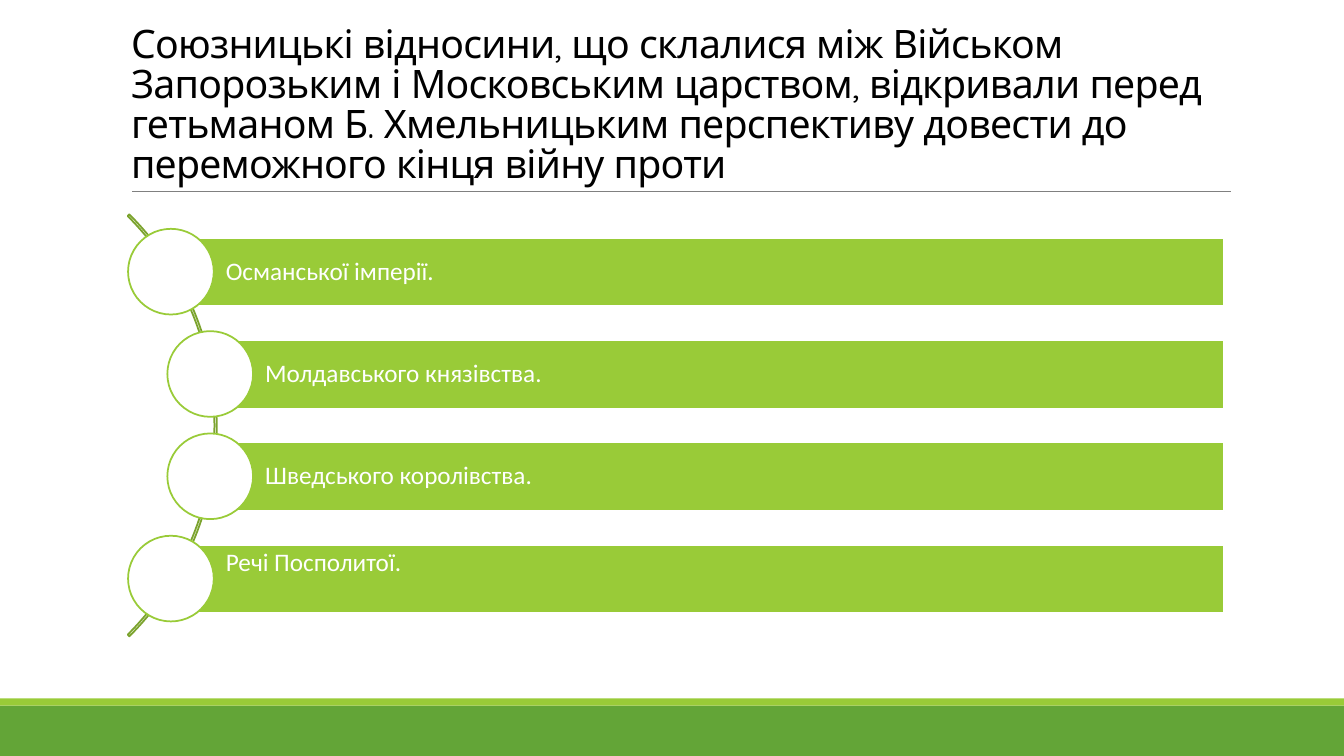
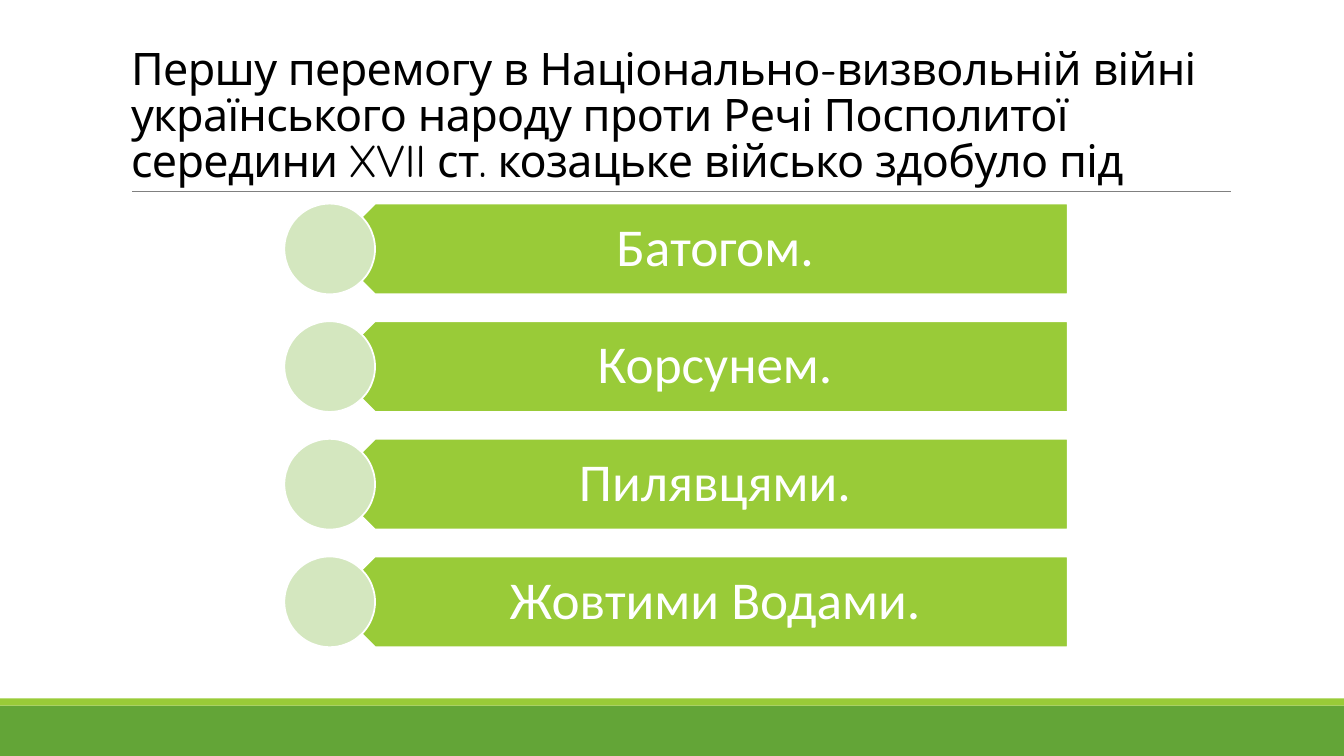
from lxml.etree import SubElement
from pptx import Presentation
from pptx.dml.color import RGBColor
from pptx.enum.shapes import MSO_CONNECTOR, MSO_SHAPE
from pptx.enum.text import MSO_ANCHOR, MSO_AUTO_SIZE, PP_ALIGN
from pptx.oxml.ns import qn
from pptx.util import Inches, Pt

WHITE = "FFFFFF"
LIME = "99CB38"
GREEN = "63A537"
PALE_GREEN = "D4E7BF"
ARC_GREEN = "7BA32D"
GREY = "808080"
BLACK = "000000"


def add_figure(slide, preset, box, fill=None, line=None):
    figure = slide.shapes.add_shape(preset, *[Inches(length) for length in box])
    figure.shadow.inherit = False
    if fill:
        figure.fill.solid()
        figure.fill.fore_color.rgb = RGBColor.from_string(fill)
    else:
        figure.fill.background()
    if line:
        figure.line.color.rgb = RGBColor.from_string(line)
        figure.line.width = Pt(1.25)
    else:
        figure.line.fill.background()
    return figure


def write(shape, text, font_name, size, color, spacing, align, anchor):
    frame = shape.text_frame
    frame.text = text
    frame.word_wrap = True
    frame.auto_size = MSO_AUTO_SIZE.NONE
    frame.vertical_anchor = anchor
    paragraph = frame.paragraphs[0]
    paragraph.alignment = align
    paragraph.line_spacing = spacing
    font = paragraph.runs[0].font
    font.name = font_name
    font.size = Pt(size)
    font.color.rgb = RGBColor.from_string(color)
    return frame


deck = Presentation()
deck.slide_width = Inches(13.33)
deck.slide_height = Inches(7.5)

layout = deck.slide_layouts.get_by_name("Title Only")
layout_title = layout.placeholders[0]
layout_title.left, layout_title.top = Inches(1.2), Inches(0.31)
layout_title.width, layout_title.height = Inches(11), Inches(1.59)

headings = [
    ("Союзницькі відносини, що склалися між Військом Запорозьким і Московським "
     "царством, відкривали перед гетьманом Б. Хмельницьким перспективу довести "
     "до переможного кінця війну проти", 28),
    ("Першу перемогу в Національно-визвольній війні українського народу проти "
     "Речі Посполитої середини XVII ст. козацьке військо здобуло під", 32),
]
slides = []
for heading, size in headings:
    slide = deck.slides.add_slide(layout)
    frame = write(slide.shapes.title, heading, "Quicksand", size, BLACK, 0.85,
                  PP_ALIGN.LEFT, MSO_ANCHOR.BOTTOM)
    frame.paragraphs[0].runs[0].font._element.set("spc", "-50")
    slides.append(slide)
allies_slide, victory_slide = slides

footer_band = add_figure(allies_slide, MSO_SHAPE.RECTANGLE, (0, 7, 13.33, 0.5), GREEN)
footer_stripe = add_figure(allies_slide, MSO_SHAPE.RECTANGLE, (0, 6.93, 13.33, 0.07), LIME)
title_rule = allies_slide.shapes.add_connector(
    MSO_CONNECTOR.STRAIGHT, Inches(1.31), Inches(1.9), Inches(12.21), Inches(1.9))
title_rule.line.color.rgb = RGBColor.from_string(GREY)
title_rule.line.width = Pt(0.5)
SubElement(title_rule.element.spPr, qn("a:effectLst"))
for decoration in (footer_band, footer_stripe, title_rule):
    layout.shapes.element.append(decoration.element)

arc = add_figure(allies_slide, MSO_SHAPE.BLOCK_ARC, (-3.77, 1.26, 5.92, 5.92), line=ARC_GREEN)
for index, adjustment in enumerate((189, 27, 0.004)):
    arc.adjustments[index] = adjustment

opponents = [
    ("Османської імперії.", 1.7, MSO_ANCHOR.MIDDLE),
    ("Молдавського князівства.", 2.09, MSO_ANCHOR.MIDDLE),
    ("Шведського королівства.", 2.09, MSO_ANCHOR.MIDDLE),
    ("Речі Посполитої.", 1.7, MSO_ANCHOR.TOP),
]
for row, (opponent, left, anchor) in enumerate(opponents):
    top = 2.36 + row * 1.015
    bar = add_figure(allies_slide, MSO_SHAPE.RECTANGLE, (left, top, 12.14 - left, 0.68), LIME, WHITE)
    frame = write(bar, opponent, "Calibri", 18, WHITE, 0.9, PP_ALIGN.LEFT, anchor)
    frame.margin_left = Inches(0.54)
    frame.margin_top = frame.margin_right = frame.margin_bottom = Inches(0.05)
    add_figure(allies_slide, MSO_SHAPE.OVAL, (left - 0.43, top - 0.09, 0.85, 0.85), WHITE, LIME)

battles = ["Батогом.", "Корсунем.", "Пилявцями.", "Жовтими Водами."]
for row, battle in enumerate(battles):
    top = 2.02 + row * 1.167
    plate = add_figure(victory_slide, MSO_SHAPE.PENTAGON, (3.27, top, 7.32, 0.9), LIME, WHITE)
    plate.element.spPr.get_or_add_xfrm().set("flipH", "1")
    frame = write(plate, battle, "Calibri", 38, WHITE, 0.9, PP_ALIGN.CENTER, MSO_ANCHOR.MIDDLE)
    frame.margin_left, frame.margin_right = Inches(0.4), Inches(0.3)
    frame.margin_top = frame.margin_bottom = Inches(0.16)
    add_figure(victory_slide, MSO_SHAPE.OVAL, (2.82, top, 0.9, 0.9), PALE_GREEN, WHITE)

deck.save("out.pptx")
